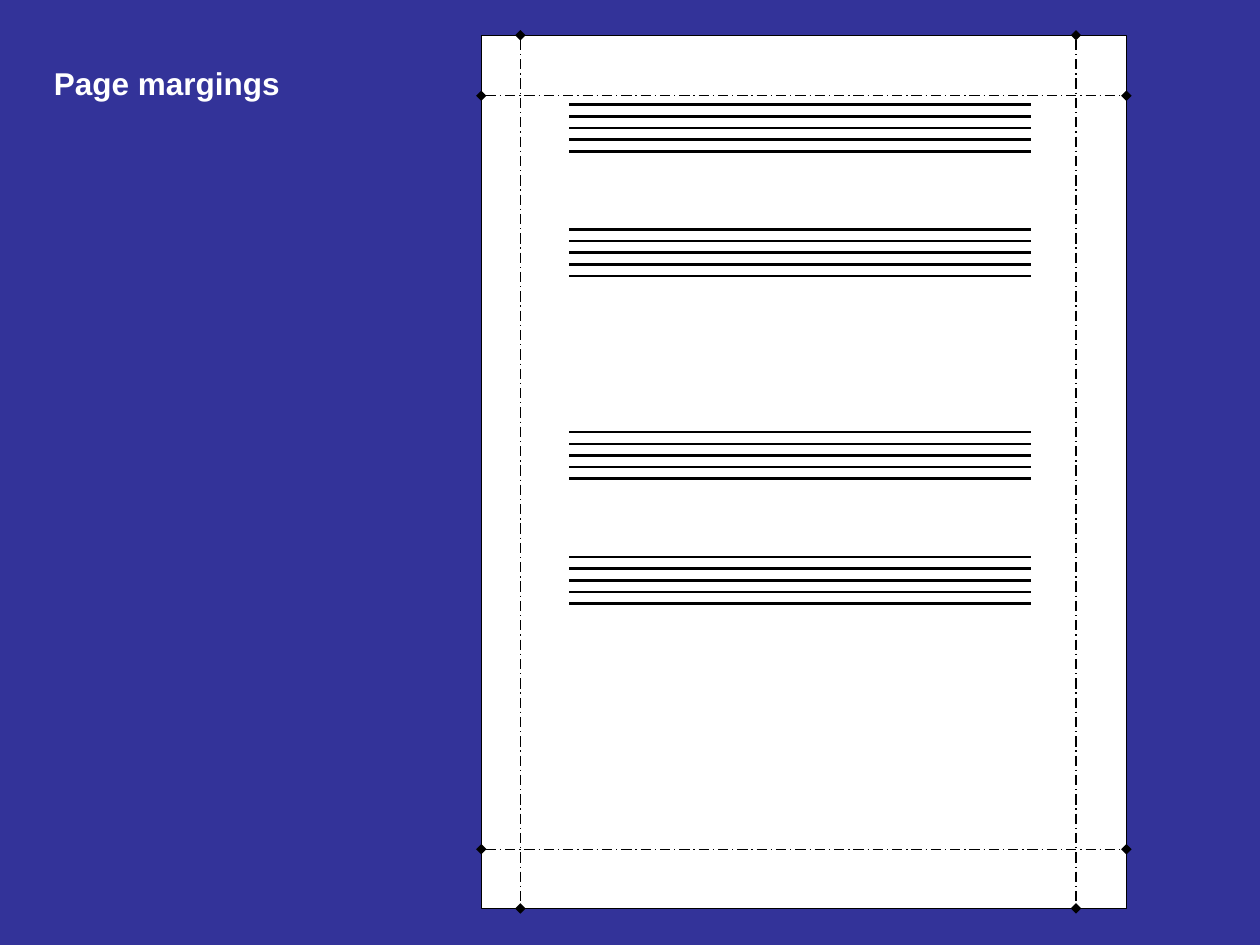
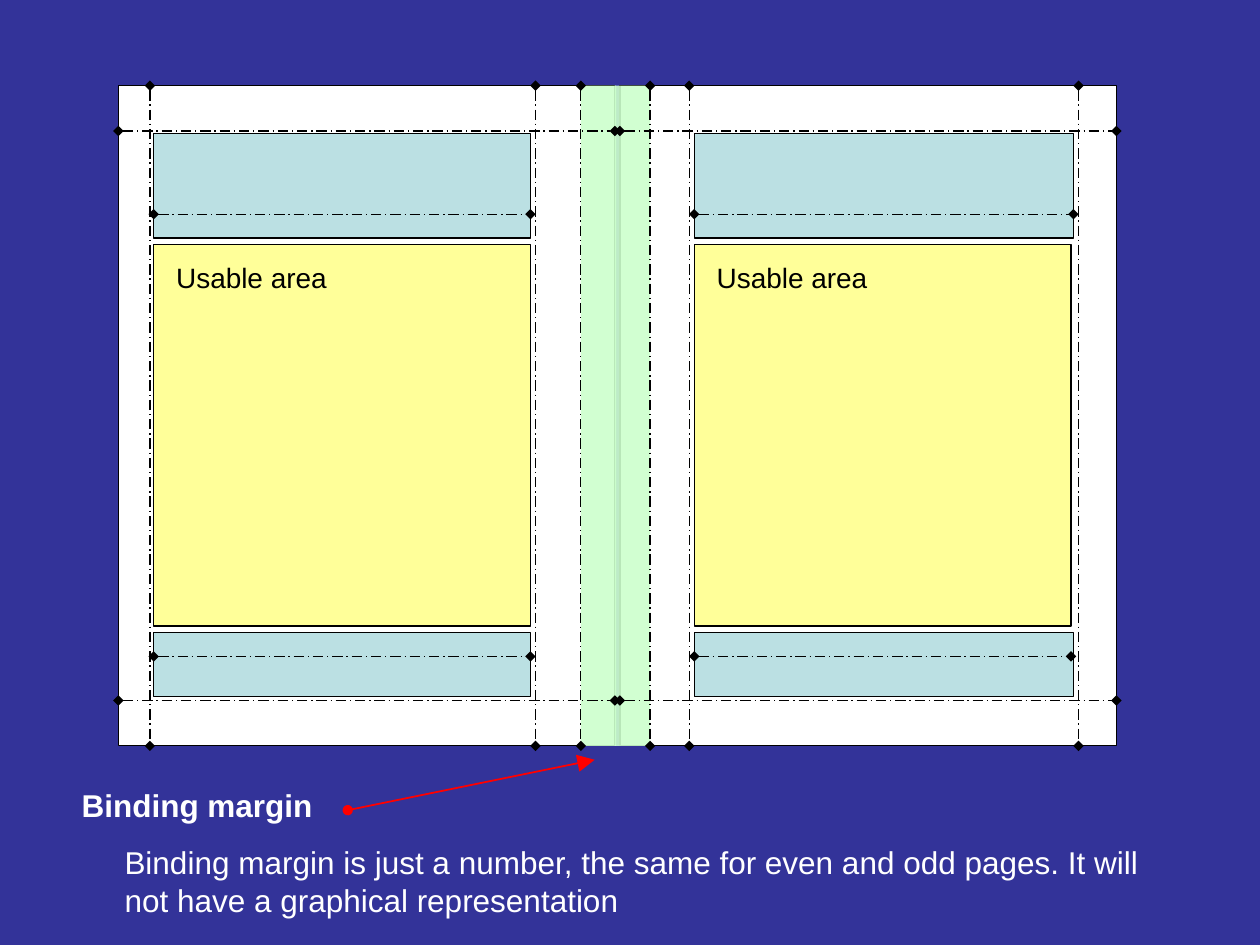
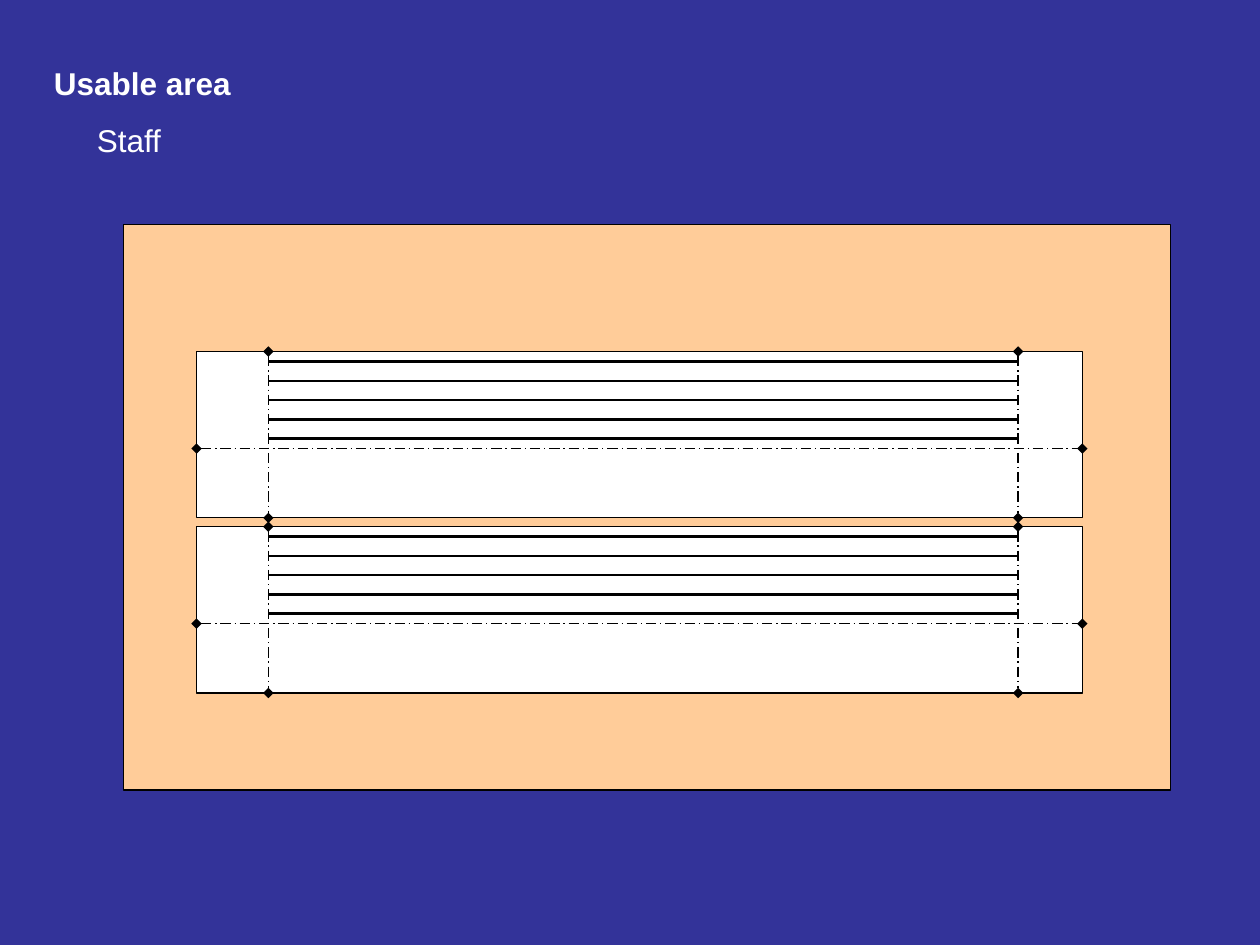
from lxml.etree import SubElement
from pptx import Presentation
from pptx.dml.color import RGBColor
from pptx.enum.dml import MSO_LINE
from pptx.enum.shapes import MSO_CONNECTOR, MSO_SHAPE
from pptx.enum.text import MSO_AUTO_SIZE
from pptx.oxml.ns import qn
from pptx.util import Inches, Pt

NAVY = RGBColor(0x33, 0x33, 0x99)
WHITE = RGBColor(0xFF, 0xFF, 0xFF)
BLACK = RGBColor(0x00, 0x00, 0x00)
RED = RGBColor(0xFF, 0x00, 0x00)
PALE_BLUE = RGBColor(0xBB, 0xE0, 0xE3)
YELLOW = RGBColor(0xFF, 0xFF, 0x99)
MINT = RGBColor(0xCC, 0xFF, 0xCC)
PEACH = RGBColor(0xFF, 0xCC, 0x99)

BODY = {"name": "Arial", "size": Pt(18), "bold": False}
HEADING = BODY | {"bold": True}
LABEL = BODY | {"size": Pt(16)}

GUIDE_LINE = {"width": Pt(0.75), "dash_style": MSO_LINE.LONG_DASH_DOT}
STAFF_LINE = {"width": Pt(1.5)}
POINTER_LINE = {"width": Pt(1)}
DIAMOND = {"type": "diamond"}
OVAL = {"type": "oval"}
LARGE_TRIANGLE = {"type": "triangle", "w": "lg", "len": "lg"}
LINES_PER_STAFF = 5


def apply_format(target, values):
    for name, value in values.items():
        setattr(target, name, value)


def add_box(shapes, left, top, width, height, color, outlined=True, opacity=None):
    shape = shapes.add_shape(MSO_SHAPE.RECTANGLE, Inches(left), Inches(top),
                             Inches(width), Inches(height))
    shape.shadow.inherit = False
    shape.fill.solid()
    shape.fill.fore_color.rgb = color
    if opacity is not None:
        color_element = shape._element.spPr.find(qn("a:solidFill")).find(qn("a:srgbClr"))
        SubElement(color_element, qn("a:alpha"), val=str(opacity * 1000))
    if outlined:
        shape.line.color.rgb = BLACK
        shape.line.width = Pt(0.75)
    else:
        shape.line.fill.background()
    return shape


def add_line(shapes, start, end, line_format, color=BLACK, head=None, tail=None):
    connector = shapes.add_connector(MSO_CONNECTOR.STRAIGHT,
                                     *[Inches(value) for value in (*start, *end)])
    connector.line.color.rgb = color
    apply_format(connector.line, line_format)
    properties = connector._element.spPr
    outline = properties.find(qn("a:ln"))
    for tag, line_end in (("a:headEnd", head), ("a:tailEnd", tail)):
        if line_end:
            SubElement(outline, qn(tag), line_end)
    SubElement(properties, qn("a:effectLst"))
    return connector


def add_guide(shapes, start, end):
    return add_line(shapes, start, end, GUIDE_LINE, head=DIAMOND, tail=DIAMOND)


def add_horizontal_guide(shapes, left, right, y):
    return add_guide(shapes, (left, y), (right, y))


def add_vertical_guide(shapes, x, top, bottom):
    return add_guide(shapes, (x, top), (x, bottom))


def add_staff_lines(shapes, left, right, top, span):
    for index in range(LINES_PER_STAFF):
        y = top + index * span / (LINES_PER_STAFF - 1)
        add_line(shapes, (left, y), (right, y), STAFF_LINE)


def add_text(slide, text, left, top, width, height, font_format, color=WHITE):
    box = slide.shapes.add_textbox(Inches(left), Inches(top), Inches(width), Inches(height))
    frame = box.text_frame
    frame.word_wrap = True
    frame.auto_size = MSO_AUTO_SIZE.SHAPE_TO_FIT_TEXT
    run = frame.paragraphs[0].add_run()
    run.text = text
    apply_format(run.font, font_format)
    run.font.color.rgb = color
    return box


def add_blank_slide(presentation):
    return presentation.slides.add_slide(presentation.slide_layouts[6])


def build_page_margins(presentation):
    slide = add_blank_slide(presentation)
    shapes = slide.shapes
    left, top, width, height = 3.82, 0.28, 5.12, 6.93
    add_box(shapes, left, top, width, height, WHITE)
    add_text(slide, "Page margings", 0.33, 0.46, 2.1, 0.4, HEADING)
    for y in (0.76, 6.74):
        add_horizontal_guide(shapes, left, left + width, y)
    for x in (4.13, 8.54):
        add_vertical_guide(shapes, x, top, top + height)
    for system_top in (0.83, 3.43):
        for first_line in (system_top, system_top + 0.99):
            staff = shapes.add_group_shape().shapes
            add_box(staff, 4.17, first_line - 0.04, 4.33, 0.79, WHITE, outlined=False)
            add_staff_lines(staff, 4.52, 8.18, first_line, 0.37)


def build_binding_margin(presentation):
    slide = add_blank_slide(presentation)
    shapes = slide.shapes
    top, width, height = 0.68, 3.94, 5.24
    bottom = top + height
    area_width = 2.99
    pages = [
        {"left": 0.94, "content": 1.22, "band_width": 2.99, "margins": (1.19, 4.25)},
        {"left": 4.92, "content": 5.51, "band_width": 3.01, "margins": (5.47, 8.56)},
    ]
    for page in pages:
        content = page["content"]
        add_box(shapes, page["left"], top, width, height, WHITE)
        for band_top, band_height in ((1.06, 0.83), (5.02, 0.51)):
            add_box(shapes, content, band_top, page["band_width"], band_height, PALE_BLUE)
        add_horizontal_guide(shapes, content, content + page["band_width"], 1.7)
        add_horizontal_guide(shapes, content, content + area_width, 5.21)
        for x in page["margins"]:
            add_vertical_guide(shapes, x, top, bottom)
        add_box(shapes, content, 1.94, area_width, 3.03, YELLOW)
        add_text(slide, "Usable area", content + 0.08, 2.02, 1.5, 0.37, LABEL, BLACK)

    for left in (4.61, 4.88):
        add_box(shapes, left, top, 0.28, height, MINT, outlined=False, opacity=90)
    for x in (4.61, 5.16):
        add_vertical_guide(shapes, x, top, bottom)
    for page in pages:
        for y in (1.04, 5.56):
            add_horizontal_guide(shapes, page["left"], page["left"] + width, y)

    add_text(slide, "Binding margin", 0.55, 6.19, 2.15, 0.4, HEADING)
    add_text(slide, "Binding margin is just a number, the same for even and odd pages. "
             "It will not have a graphical representation",
             0.89, 6.64, 8.36, 0.7, BODY)
    add_line(shapes, (2.76, 6.43), (4.72, 6.03), POINTER_LINE, RED, OVAL, LARGE_TRIANGLE)


def build_usable_area(presentation):
    slide = add_blank_slide(presentation)
    add_text(slide, "Usable area", 0.33, 0.46, 1.75, 0.4, HEADING)
    add_text(slide, "Staff", 0.67, 0.91, 0.85, 0.4, BODY)
    add_box(slide.shapes, 0.98, 1.78, 8.31, 4.49, PEACH)
    left, width, height = 1.56, 7.03, 1.32
    margins = (2.13, 8.08)
    for top in (2.79, 4.18):
        staff = slide.shapes.add_group_shape().shapes
        add_box(staff, left, top, width, height, WHITE)
        add_horizontal_guide(staff, left, left + width, top + 0.77)
        for x in margins:
            add_vertical_guide(staff, x, top, top + height)
        add_staff_lines(staff, *margins, top + 0.08, 0.61)


def main():
    presentation = Presentation()
    presentation.slide_width = Inches(10)
    presentation.slide_height = Inches(7.5)
    background = presentation.slide_master.background.fill
    background.solid()
    background.fore_color.rgb = NAVY
    build_page_margins(presentation)
    build_binding_margin(presentation)
    build_usable_area(presentation)
    presentation.save("out.pptx")


if __name__ == "__main__":
    main()
